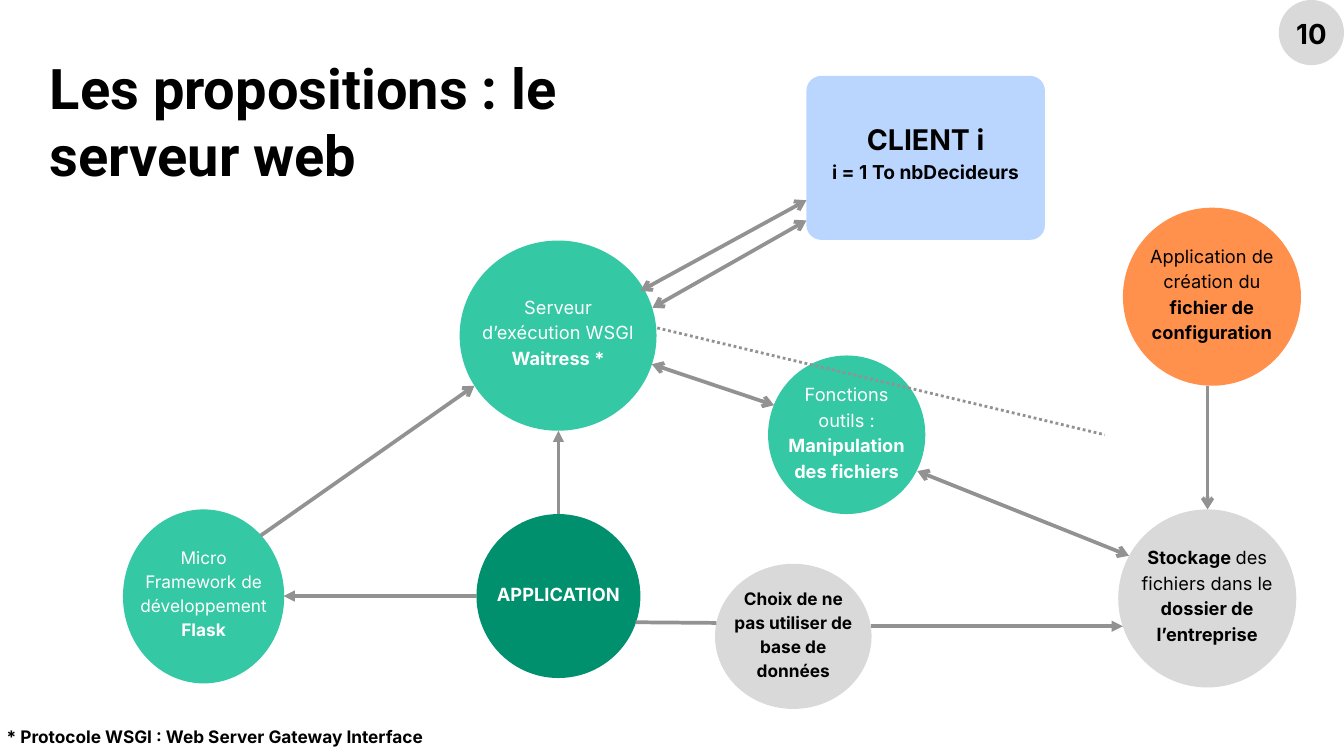
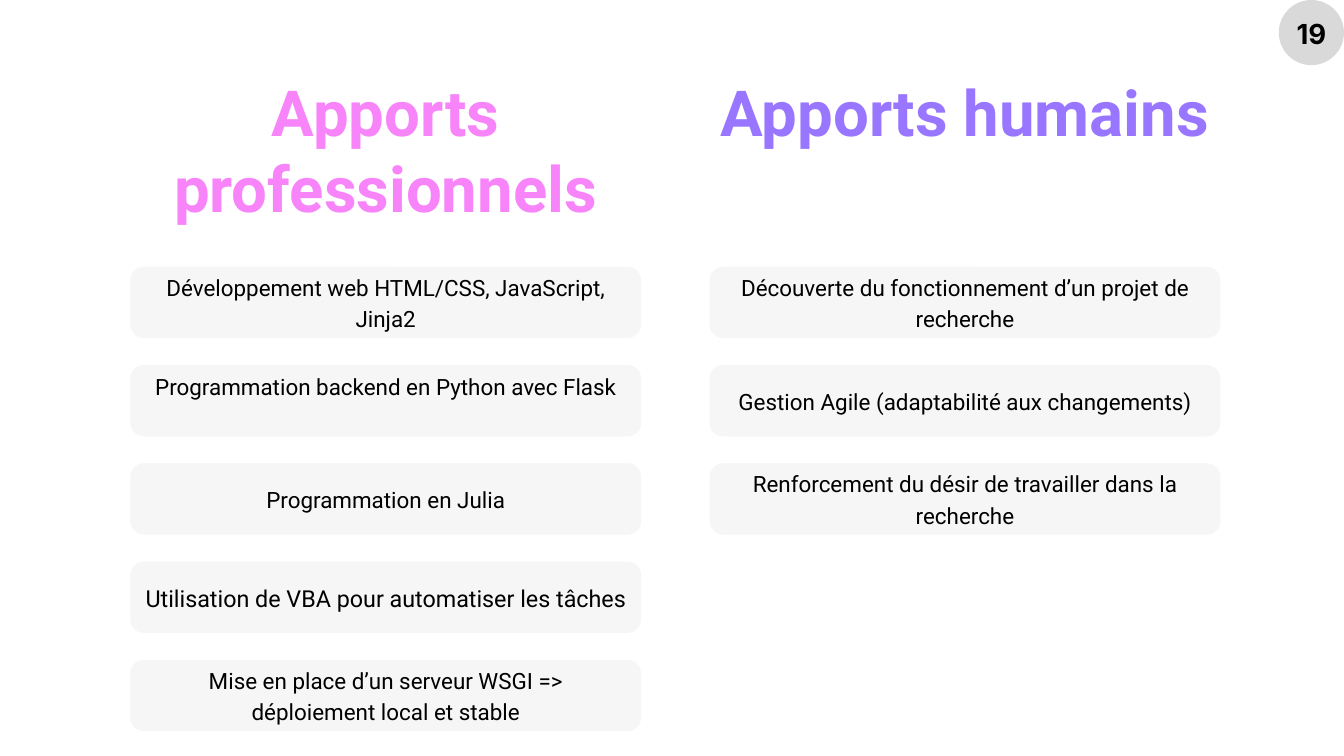
from lxml import etree
from pptx import Presentation
from pptx import util as u
from pptx.dml.color import RGBColor
from pptx.enum import dml, shapes, text
from pptx.oxml.ns import qn

BLACK, WHITE, GREY, LINE = "000000", "FFFFFF", "D9D9D9", "929292"
GREEN, DARK_GREEN, ORANGE, BLUE = "34C8A4", "00906D", "FF914D", "BAD6FF"
CARD, PINK, PURPLE = "F1F1F1", "F884FA", "9976FF"
SHAPE, ALIGN, ANCHOR = shapes.MSO_SHAPE, text.PP_ALIGN, text.MSO_ANCHOR
COLUMN_WIDTH, CARD_HEIGHT, CARD_PITCH = 7.6, 1.06, 1.4625

CIRCLES = [
    ((7.09, 7.65, 2.44, 2.44), DARK_GREEN, WHITE, 19.5, [[("APPLICATION", True)]]),
    ((1.83, 7.58, 2.4, 2.59), GREEN, WHITE, 18.5,
     [[("Micro Framework de développement", False), (" Flask", True)]]),
    ((6.84, 3.58, 2.93, 2.83), GREEN, WHITE, 19.5,
     [[("Serveur d’exécution WSGI", False)], [("Waitress *", True)]]),
    ((10.64, 8.39, 2.33, 2.16), GREY, BLACK, 18.5,
     [[("Choix de ne pas utiliser de base de données", True)]]),
    ((11.43, 5.29, 2.34, 2.36), GREEN, WHITE, 19.5,
     [[("Fonctions outils : ", False), ("Manipulation des fichiers", True)]]),
    ((16.64, 7.58, 2.65, 2.65), GREY, BLACK, 19.5,
     [[("Stockage ", True), ("des fichiers dans le", False), (" dossier de l’entreprise", True)]]),
    ((16.71, 3.09, 2.65, 2.65), ORANGE, BLACK, 19.5,
     [[("Application de création du", False), (" fichier de configuration", True)]]),
]

LINKS = [
    ((9.46, 9.26), (10.66, 9.27), {}),
    ((7.09, 8.87), (4.22, 8.87), {"tail": "triangle"}),
    ((8.31, 7.65), (8.31, 6.41), {"tail": "triangle"}),
    ((12.96, 9.32), (16.71, 9.32), {"tail": "triangle"}),
    ((3.88, 7.97), (7.06, 5.74), {"tail": "arrow"}),
    ((17.97, 5.74), (17.97, 7.58), {"tail": "arrow"}),
    ((9.71, 4.58), (12, 3.28), {"head": "arrow", "tail": "arrow"}),
    ((9.53, 4.33), (12, 2.98), {"head": "arrow", "tail": "arrow"}),
    ((13.65, 7.01), (16.8, 8.27), {"head": "arrow", "tail": "arrow"}),
    ((11.52, 6.03), (9.7, 5.42), {"head": "arrow", "tail": "arrow"}),
    ((9.78, 4.88), (16.44, 6.47), {"width": 3, "dotted": True}),
]

PROFESSIONAL = [
    ("Développement web HTML/CSS, JavaScript, Jinja2", {}),
    ("Programmation backend en Python avec Flask", {"anchor": ANCHOR.TOP}),
    ("Programmation en Julia", {}),
    ("Utilisation de VBA pour automatiser les tâches", {"size": 25, "side": 0.05}),
    ("Mise en place d’un serveur WSGI => déploiement local et stable", {}),
]
HUMAN = [
    ("Découverte du fonctionnement d’un projet de recherche", {}),
    ("Gestion Agile (adaptabilité aux changements)", {}),
    ("Renforcement du désir de travailler dans la recherche", {}),
]


def color(hex_code):
    """Turn a hex string into a colour."""
    return RGBColor.from_string(hex_code)


def inches(values):
    """Turn a sequence of numbers into lengths."""
    return [u.Inches(value) for value in values]


def place(shape, box):
    """Move and size a shape to a box."""
    shape.left, shape.top, shape.width, shape.height = inches(box)


def write(shape, paragraphs, size=24, font="Inter", ink=BLACK, bold=False, align=ALIGN.CENTER,
          anchor=ANCHOR.TOP, insets=(0, 0, 0, 0), spacing=1.4):
    """Write paragraphs, each a string or a list of (text, bold) runs, into a shape."""
    frame = shape.text_frame
    frame.word_wrap, frame.auto_size = True, text.MSO_AUTO_SIZE.NONE
    frame.vertical_anchor = anchor
    (frame.margin_left, frame.margin_top,
     frame.margin_right, frame.margin_bottom) = inches(insets)
    for index, content in enumerate(paragraphs):
        paragraph = frame.add_paragraph() if index else frame.paragraphs[0]
        paragraph.alignment = align
        runs = [(content, bold)] if isinstance(content, str) else content
        sizes = size if isinstance(size, list) else [size] * len(paragraphs)
        paragraph.line_spacing = u.Pt(round(sizes[index] * spacing, 1))
        for words, is_bold in runs:
            run = paragraph.add_run()
            run.text = words
            run.font.name, run.font.size, run.font.bold = font, u.Pt(sizes[index]), is_bold
            run.font.color.rgb = color(ink)


def add_text(slide, box, paragraphs, **style):
    """Add a text box."""
    shape = slide.shapes.add_textbox(*inches(box))
    write(shape, paragraphs, **style)


def add_title(slide, box, words, **style):
    """Fill and move the title placeholder."""
    title = slide.shapes.title
    place(title, box)
    write(title, [words], font="Roboto", bold=True, spacing=1.2, **style)


def add_filled(slide, kind, box, fill, radius=None, opacity=None):
    """Add a flat shape without outline."""
    shape = slide.shapes.add_shape(kind, *inches(box))
    shape.shadow.inherit = False
    shape.line.fill.background()
    shape.fill.solid()
    shape.fill.fore_color.rgb = color(fill)
    if radius:
        shape.adjustments[0] = radius / min(box[2:])
    if opacity:
        solid = shape.fill._xPr.find(qn("a:solidFill"))
        etree.SubElement(solid[0], qn("a:alpha"), val=str(opacity * 1000))
    return shape


def add_circle(slide, box, fill, ink, size, paragraphs):
    """Add a circle with a centred label wider than its own text area."""
    left, top, width, height = box
    add_filled(slide, SHAPE.OVAL, box, fill)
    label = (left + width * 0.094, top + height * 0.045, width * 0.812, height * 0.86)
    add_text(slide, label, paragraphs, size=size, ink=ink, anchor=ANCHOR.MIDDLE,
             insets=(0.03,) * 4)


def add_link(slide, start, end, width=4, head=None, tail=None, dotted=False):
    """Add a straight line with optional arrowheads."""
    link = slide.shapes.add_connector(shapes.MSO_CONNECTOR.STRAIGHT, *inches(start + end))
    link.line.width = u.Pt(width)
    link.line.color.rgb = color(LINE)
    if dotted:
        link.line.dash_style = dml.MSO_LINE.ROUND_DOT
    outline = link.line._get_or_add_ln()
    for tag, kind in (("a:headEnd", head), ("a:tailEnd", tail)):
        if kind:
            etree.SubElement(outline, qn(tag), type=kind)
    etree.SubElement(link._element.spPr, qn("a:effectLst"))


def add_client(slide, box):
    """Add the client box and its two lines."""
    client = add_filled(slide, SHAPE.ROUNDED_RECTANGLE, box, BLUE, radius=0.22)
    write(client, ["CLIENT i", "i = 1 To nbDecideurs"], size=[30.5, 20.5], bold=True,
          anchor=ANCHOR.MIDDLE, insets=(0, 0, 0, 0.24))


def add_cards(slide, left, top, cards):
    """Stack the cards of one column."""
    for row, (words, options) in enumerate(cards):
        style = {"size": 24, "side": 0.31, "anchor": ANCHOR.MIDDLE, **options}
        side = style.pop("side")
        card = add_filled(slide, SHAPE.ROUNDED_RECTANGLE,
                          (left, top + row * CARD_PITCH, COLUMN_WIDTH, CARD_HEIGHT),
                          CARD, radius=0.2, opacity=64)
        write(card, [words], font="Roboto", insets=(side, 0, side, 0.05), **style)


def add_page(presentation, number):
    """Add a title-only slide with its page badge."""
    slide = presentation.slides.add_slide(presentation.slide_layouts[5])
    add_circle(slide, (19.03, 0, 0.97, 0.97), GREY, BLACK, 29.5, [[(number, True)]])
    return slide


def build_server_slide(presentation):
    """Build the web server diagram."""
    slide = add_page(presentation, "10")
    add_title(slide, (0.74, 0.79, 7.87, 2.03), "Les propositions : le serveur web",
              size=60, align=ALIGN.LEFT)
    add_text(slide, (0, 10.75, 6.39, 0.34),
             ["* Protocole WSGI : Web Server Gateway Interface"], size=18.5, bold=True)
    for circle in CIRCLES:
        add_circle(slide, *circle)
    add_client(slide, (12, 1.13, 3.55, 2.44))
    for start, end, style in LINKS:
        add_link(slide, start, end, **style)


def build_benefits_slide(presentation):
    """Build the two columns of benefits."""
    slide = add_page(presentation, "19")
    left, right, top = 1.94, 10.56, 1.09
    add_title(slide, (left, top, COLUMN_WIDTH, 2.28), "Apports professionnels",
              size=68, ink=PINK)
    add_text(slide, (right, top, COLUMN_WIDTH, 2.28), ["Apports humains"], size=68,
             font="Roboto", ink=PURPLE, bold=True, spacing=1.2)
    add_cards(slide, left, 3.97, PROFESSIONAL)
    add_cards(slide, right, 3.97, HUMAN)


def main():
    """Build and save the presentation."""
    presentation = Presentation()
    presentation.slide_width, presentation.slide_height = inches((20, 11.25))
    build_server_slide(presentation)
    build_benefits_slide(presentation)
    presentation.save("out.pptx")


if __name__ == "__main__":
    main()
